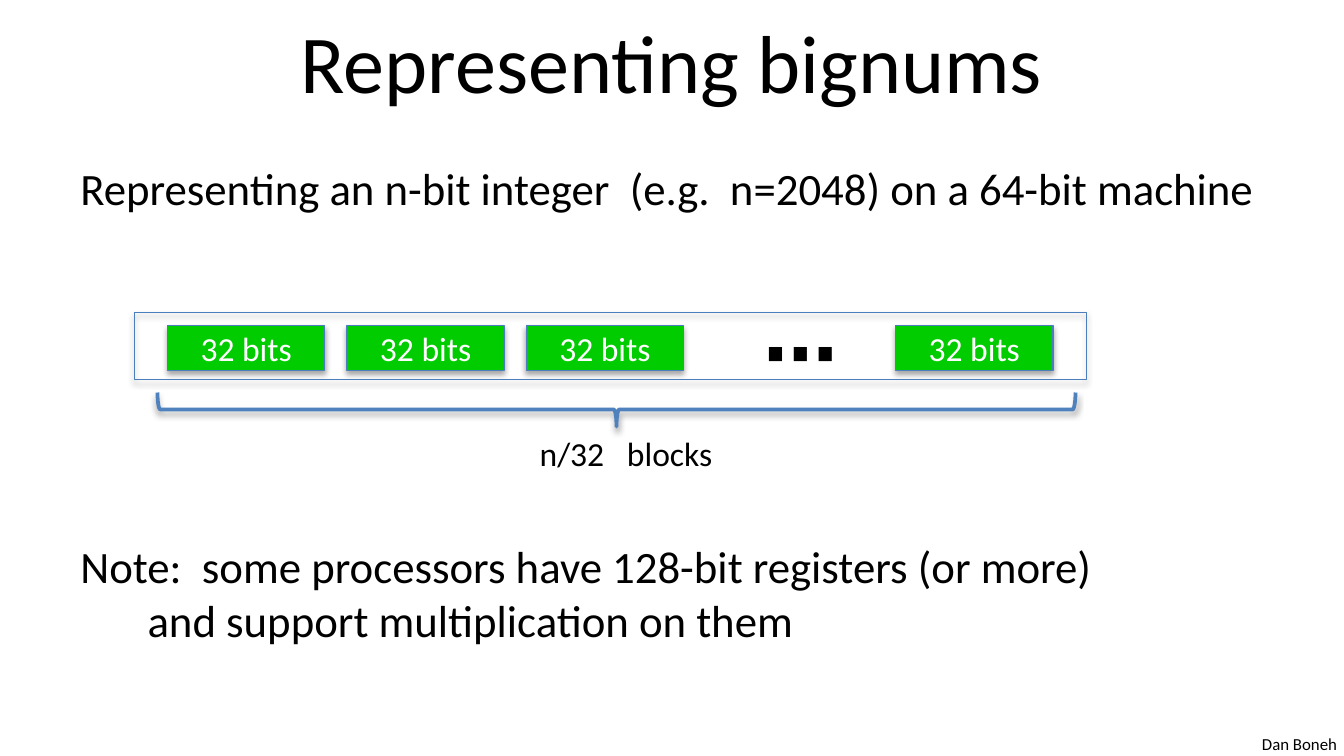
from lxml.etree import SubElement
from pptx import Presentation
from pptx.dml.color import RGBColor
from pptx.enum.shapes import MSO_SHAPE
from pptx.enum.text import MSO_ANCHOR, MSO_AUTO_SIZE, PP_ALIGN
from pptx.oxml.ns import qn
from pptx.util import Cm, Pt

BLACK = RGBColor(0x00, 0x00, 0x00)
WHITE = RGBColor(0xFF, 0xFF, 0xFF)
GREEN = RGBColor(0x00, 0xCC, 0x00)
EDGE = RGBColor(0x4B, 0x7E, 0xBC)
BLUE = RGBColor(0x4F, 0x81, 0xBD)


class SlideBuilder:
    """Holds the style and the current slide."""

    font = "Calibri"

    def __init__(self, prs):
        self.s = prs.slides.add_slide(prs.slide_layouts[5])

    def add_run(self, p, text, size, color=BLACK, bold=False):
        r = p.add_run()
        r.text = text
        r.font.name = self.font
        r.font.size = Pt(size)
        r.font.bold = bold
        r.font.color.rgb = color

    def title(self, text, x, y, w, h):
        sp = self.s.shapes.title
        sp.left, sp.top, sp.width, sp.height = Cm(x), Cm(y), Cm(w), Cm(h)
        tf = sp.text_frame
        tf.vertical_anchor = MSO_ANCHOR.MIDDLE
        p = tf.paragraphs[0]
        p.alignment = PP_ALIGN.CENTER
        self.add_run(p, text, 44)

    def text(self, lines, x, y, w, h, size, wrap=False, bold=False):
        tf = self.s.shapes.add_textbox(Cm(x), Cm(y), Cm(w), Cm(h)).text_frame
        tf.word_wrap = wrap
        tf.auto_size = MSO_AUTO_SIZE.NONE if wrap else MSO_AUTO_SIZE.SHAPE_TO_FIT_TEXT
        p = tf.paragraphs[0]
        for i, line in enumerate(lines):
            if i:
                p.add_line_break()
            self.add_run(p, line, size, bold=bold)

    def shape(self, kind, x, y, w, h, line=EDGE, width=0.75, fill=None, text=None):
        sp = self.s.shapes.add_shape(kind, Cm(x), Cm(y), Cm(w), Cm(h))
        if fill is None:
            sp.fill.background()
        else:
            sp.fill.solid()
            sp.fill.fore_color.rgb = fill
        sp.line.color.rgb = line
        sp.line.width = Pt(width)
        self.shadow(sp)
        if text:
            tf = sp.text_frame
            tf.vertical_anchor = MSO_ANCHOR.MIDDLE
            p = tf.paragraphs[0]
            p.alignment = PP_ALIGN.CENTER
            self.add_run(p, text, 18, WHITE)
        return sp

    def shadow(self, sp):
        sp.shadow.inherit = False
        effects = sp._element.spPr.find(qn("a:effectLst"))
        outer = SubElement(effects, qn("a:outerShdw"), blurRad=str(Pt(3.1)),
                           dist=str(Pt(1.8)), dir="5400000", rotWithShape="0")
        color = SubElement(outer, qn("a:srgbClr"), val=str(BLACK))
        SubElement(color, qn("a:alpha"), val="35000")


def main():
    prs = Presentation()
    prs.slide_width, prs.slide_height = Cm(25.4), Cm(14.28)
    b = SlideBuilder(prs)

    # Footer, title and statements
    b.text(["Dan Boneh"], 23.6, 13.74, 1.93, 0.64, 9)
    b.title("Representing bignums", 1.27, -0.05, 22.86, 2.39)
    b.text(["Representing an n-bit integer  (e.g.  n=2048) on a 64-bit machine"],
           1.27, 2.92, 22.86, 1.3, 24, wrap=True)
    b.text(["Note:  some processors have 128-bit registers (or more)",
            "\tand support multiplication on them"],
           1.27, 10.05, 22.86, 2.4, 24, wrap=True)

    # Blocks: three at an equal pitch, then the last one
    first, pitch, last = 3.17, 3.39, 16.93
    for x in [first + i * pitch for i in range(3)] + [last]:
        b.shape(MSO_SHAPE.RECTANGLE, x, 6.15, 2.97, 0.85, fill=GREEN, text="32 bits")
    b.text(["⋯"], 14.18, 5.66, 1.22, 1.96, 40, bold=True)

    # Brace under the blocks, with its label
    brace = b.shape(MSO_SHAPE.RIGHT_BRACE, 11.33, -0.94, 0.64, 17.35, line=BLUE, width=2)
    brace.rotation = 90
    b.text(["n/32   blocks"], 9.95, 8.05, 3.84, 1.02, 18)

    # Frame around the whole number
    b.shape(MSO_SHAPE.RECTANGLE, 2.54, 5.9, 17.99, 1.27)

    prs.save("out.pptx")


if __name__ == "__main__":
    main()
